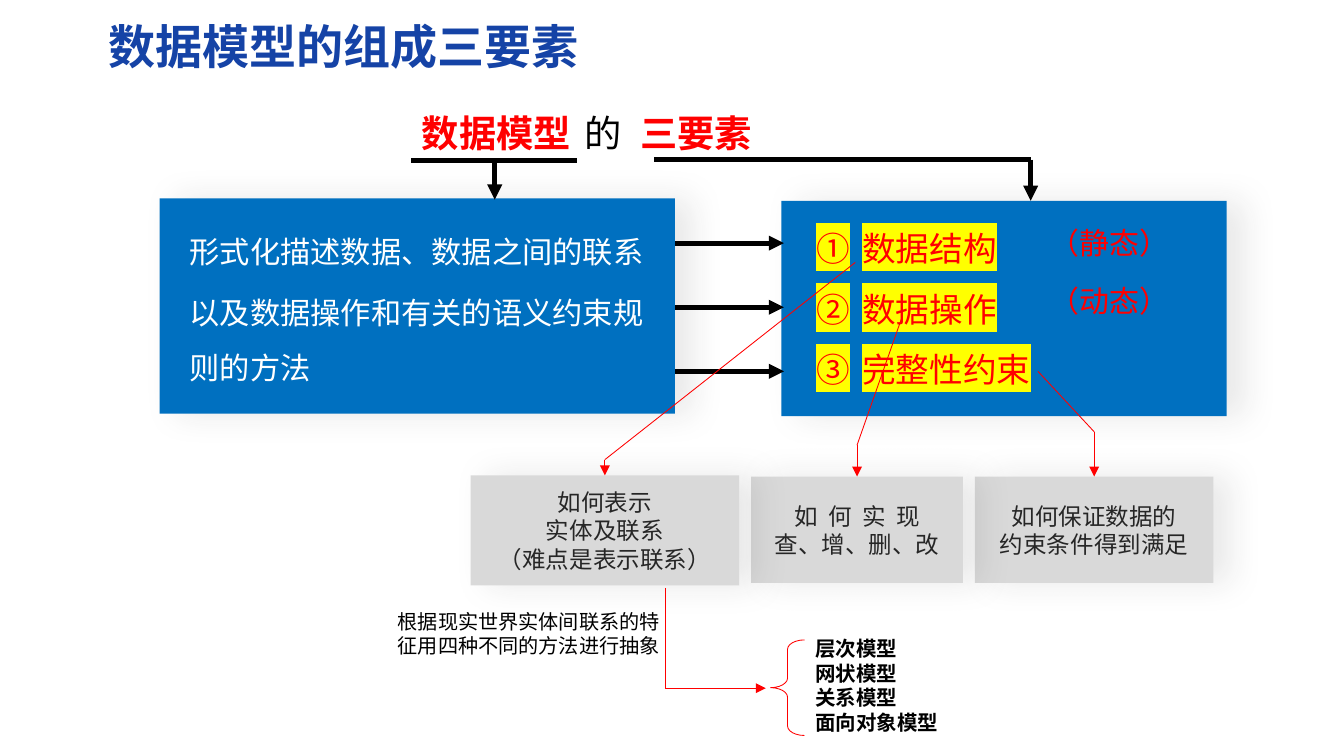
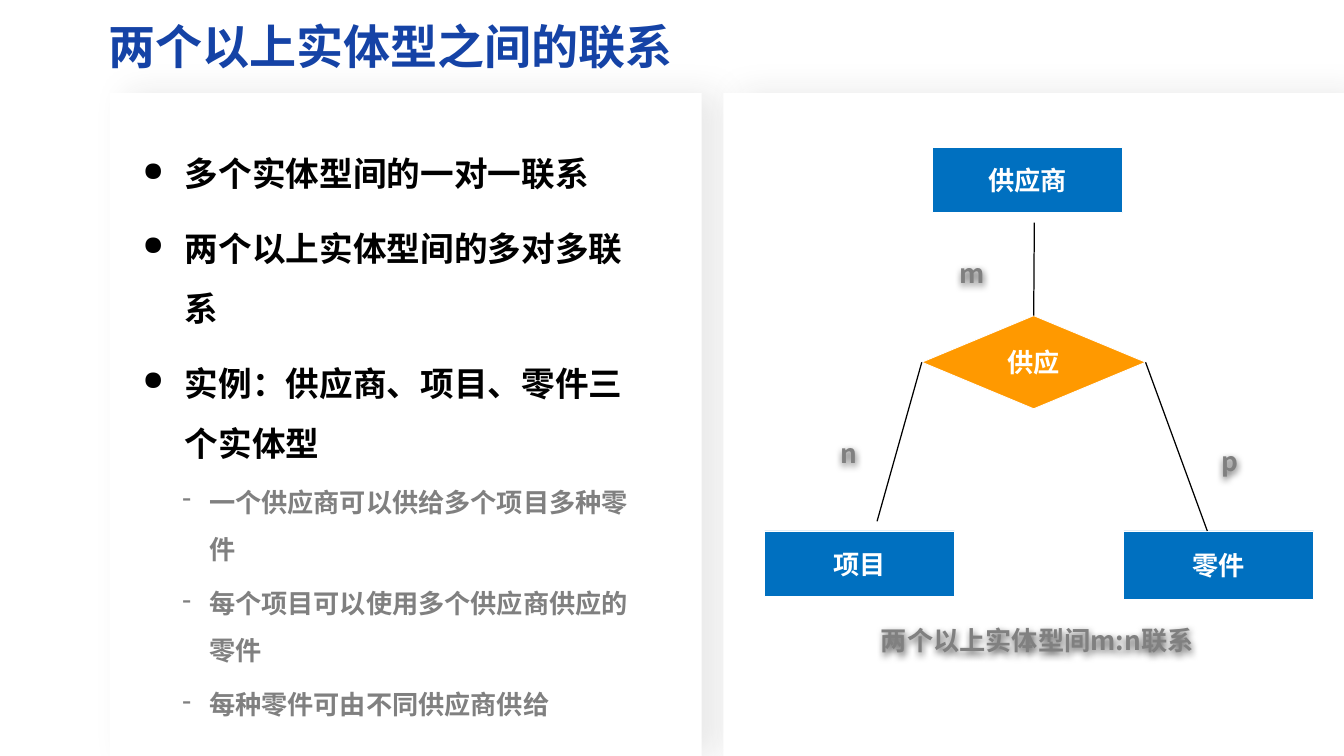
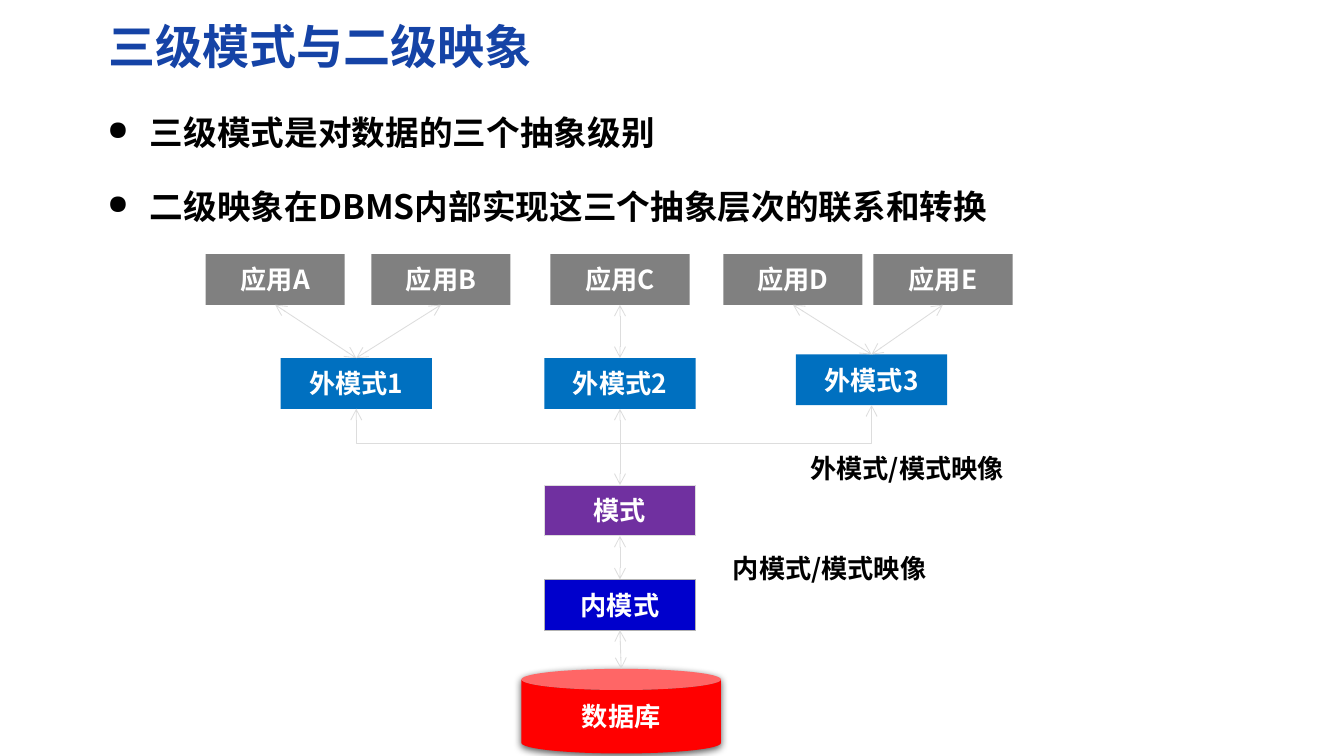
from lxml.etree import SubElement
from pptx import Presentation
from pptx.dml.color import RGBColor
from pptx.enum.shapes import MSO_CONNECTOR, MSO_SHAPE
from pptx.enum.text import MSO_ANCHOR, PP_ALIGN
from pptx.oxml.ns import qn
from pptx.util import Inches, Pt

FONT = "Noto Sans CJK SC"
COLORS = {
    "title": "1543A6", "blue": "0070C0", "red": "FF0000", "black": "000000",
    "white": "FFFFFF", "yellow": "FFFF00", "light": "D9D9D9", "dark": "262626",
    "gray": "808080", "orange": "FF9900", "purple": "7030A0", "navy": "0000CC",
    "pale": "DDDDDD", "silver": "B2B2B2",
}
SOFT_SHADOW = ("dark", 10, 20, 10, 0)  # colour, opacity %, blur pt, distance pt, angle
TIGHT_SHADOW = ("black", 63, 4.5, 1.5, 90)
LABEL = dict(size=15.6, bold=True, align=PP_ALIGN.CENTER, anchor=MSO_ANCHOR.MIDDLE)
NODE = dict(LABEL, color="white")
BODY = dict(size=20, bold=True, line_spacing=1.5, before=8.3,
            bullet="●", indent=(0.35, -0.35), bullet_size=80)
SUB = dict(size=15.6, color="gray", before=4.2, level=1,
           bullet="-", indent=(0.55, -0.22), bullet_size=None)

# Slide 1
ELEMENTS_TITLE = "数据模型的组成三要素"
ELEMENTS_HEADING = [[("数据模型", {}), (" 的 ", dict(color="black", bold=False, tracking=3)),
                     ("三要素", {})]]
DEFINITION = ["形式化描述数据、数据之间的联系", "以及数据操作和有关的语义约束规则的方法"]
ELEMENTS = ["数据结构", "数据操作", "完整性约束"]
NATURES = [("（静态）", 1.81), ("（动态）", 2.29)]
# box, lines, start of the pointer, height of its bend
QUESTIONS = [
    ((8.06, 3.94, 1.97, 0.88), ["如何保证数据的", "约束条件得到满足"], (8.58, 3.07), 3.57),
    ((6.21, 3.94, 1.75, 0.88), [("如 何 实 现", dict(tracking=1.5)), "查、增、删、改"],
     (7.45, 2.64), 3.68),
    ((3.89, 3.93, 2.22, 0.91), ["如何表示", "实体及联系", "（难点是表示联系）"],
     (7.07, 2.17), 3.8),
]
ABSTRACTION = "根据现实世界实体间联系的特征用四种不同的方法进行抽象"
MODELS = ["层次模型", "网状模型", "关系模型", "面向对象模型"]

# Slide 2
RELATION_TITLE = "两个以上实体型之间的联系"
RELATION_POINTS = [
    "多个实体型间的一对一联系",
    "两个以上实体型间的多对多联系",
    "实例：供应商、项目、零件三个实体型",
    ("一个供应商可以供给多个项目多种零件", SUB),
    ("每个项目可以使用多个供应商供应的零件", SUB),
    ("每种零件可由不同供应商供给", SUB),
]
ENTITIES = [("供应商", (7.71, 1.22, 1.57, 0.54)), ("项目", (6.32, 4.39, 1.57, 0.54)),
            ("零件", (9.29, 4.39, 1.57, 0.57))]
RELATION = ("供应", (7.62, 2.61, 1.85, 0.77))
# side of the diamond, far end
BRANCHES = [(0, (8.55, 1.84)), (1, (7.25, 4.31)), (3, (9.98, 4.39))]
CAPTIONS = [("m", (7.81, 2.07, 0.46, 0.37)), ("n", (6.79, 3.56, 0.46, 0.37)),
            ("p", (9.94, 3.63, 0.46, 0.37)),
            ("两个以上实体型间m:n联系", (6.04, 5.11, 5.07, 0.37))]

# Slide 3
SCHEMA_TITLE = "三级模式与二级映象"
SCHEMA_POINTS = ["三级模式是对数据的三个抽象级别",
                 "二级映象在DBMS内部实现这三个抽象层次的联系和转换"]
# label, left, number of the external schema
APPLICATIONS = [("应用A", 1.7, 0), ("应用B", 3.07, 0), ("应用C", 4.55, 1),
                ("应用D", 5.98, 2), ("应用E", 7.22, 2)]
EXTERNALS = [("外模式1", 2.32, 2.96), ("外模式2", 4.5, 2.96), ("外模式3", 6.58, 2.93)]
# label, box, fill, line, shape, shadow
CORE = [
    ("模式", (4.5, 4.01, 1.25, 0.42), "purple", "pale", MSO_SHAPE.RECTANGLE, None),
    ("内模式", (4.5, 4.79, 1.25, 0.42), "navy", "silver", MSO_SHAPE.RECTANGLE, None),
    ("数据库", (4.31, 5.53, 1.65, 0.7), "red", None, MSO_SHAPE.CAN, TIGHT_SHADOW),
]
MAPPINGS = [("外模式/模式映像", 6.6, 3.69), ("内模式/模式映像", 5.96, 4.52)]


def rgb(name):
    return RGBColor.from_string(COLORS[name])


def inches(values):
    return [Inches(value) for value in values]


def add_color(parent, name):
    color = SubElement(parent, qn("a:srgbClr"))
    color.set("val", COLORS[name])
    return color


def add_run(paragraph, text, size=18, color="black", bold=False, highlight=None, tracking=0):
    run = paragraph.add_run()
    run.text = text
    font = run.font
    font.size, font.bold = Pt(size), bold
    font.color.rgb = rgb(color)
    properties = font._element
    if tracking:
        properties.set("spc", str(int(tracking * 100)))
    if highlight:
        add_color(SubElement(properties, qn("a:highlight")), highlight)
    font.name = FONT
    SubElement(properties, qn("a:ea")).set("typeface", FONT)


def format_paragraph(paragraph, first, align=None, line_spacing=None, before=0, level=0,
                     indent=None, bullet=None, bullet_size=None, numbering=None):
    paragraph.alignment = align
    paragraph.level = level
    paragraph.line_spacing = line_spacing
    paragraph.space_before = Pt(0 if first else before)
    properties = paragraph._p.get_or_add_pPr()
    if indent:
        properties.set("marL", str(Inches(indent[0])))
        properties.set("indent", str(Inches(indent[1])))
    if bullet_size:
        SubElement(properties, qn("a:buSzPct")).set("val", str(bullet_size * 1000))
    if bullet:
        SubElement(properties, qn("a:buChar")).set("char", bullet)
    if numbering:
        SubElement(properties, qn("a:buAutoNum")).set("type", numbering)


def write(shape, paragraphs, anchor=MSO_ANCHOR.TOP, wrap=True, margins=(0.1, 0.05), **style):
    """A paragraph is a string, a (string, format) pair or a list of such pairs as runs."""
    frame = shape.text_frame
    frame.word_wrap, frame.vertical_anchor = wrap, anchor
    frame.margin_left = frame.margin_right = Inches(margins[0])
    frame.margin_top = frame.margin_bottom = Inches(margins[1])
    run_keys = ("size", "color", "bold", "highlight", "tracking")
    for number, content in enumerate(paragraphs):
        paragraph = frame.add_paragraph() if number else frame.paragraphs[0]
        extra = {}
        if isinstance(content, tuple):
            content, extra = content
        runs = content if isinstance(content, list) else [(content, {})]
        merged = {**style, **extra}
        format_paragraph(paragraph, number == 0,
                         **{k: v for k, v in merged.items() if k not in run_keys})
        run_style = {k: v for k, v in merged.items() if k in run_keys}
        for text, change in runs:
            add_run(paragraph, text, **{**run_style, **change})


def add_shadow(shape, color, opacity, blur, distance, angle):
    shape.shadow.inherit = False
    effects = shape._element.spPr.find(qn("a:effectLst"))
    outer = SubElement(effects, qn("a:outerShdw"))
    for key, value in (("blurRad", Pt(blur)), ("dist", Pt(distance)), ("dir", angle * 60000)):
        outer.set(key, str(value))
    outer.set("algn", "ctr")
    outer.set("rotWithShape", "0")
    SubElement(add_color(outer, color), qn("a:alpha")).set("val", str(opacity * 1000))


def add_text(slide, box, paragraphs, shadow=None, **style):
    shape = slide.shapes.add_textbox(*inches(box))
    write(shape, paragraphs, **style)
    if shadow:
        add_shadow(shape, *shadow)
    return shape


def add_box(slide, box, fill=None, line=None, kind=MSO_SHAPE.RECTANGLE, shadow=None,
            paragraphs=(), **style):
    shape = slide.shapes.add_shape(kind, *inches(box))
    shape.shadow.inherit = False
    if fill:
        shape.fill.solid()
        shape.fill.fore_color.rgb = rgb(fill)
    else:
        shape.fill.background()
    if line:
        shape.line.color.rgb = rgb(line)
        shape.line.width = Pt(0.5)
    else:
        shape.line.fill.background()
    if shadow:
        add_shadow(shape, *shadow)
    if paragraphs:
        write(shape, paragraphs, **style)
    return shape


def add_line(slide, start, end, color="black", width=0.5, head=None, tail=None,
             kind=MSO_CONNECTOR.STRAIGHT):
    """Each end is an (x, y) point in inches or a (shape, side) pair to join."""
    joined = [not isinstance(point[0], (int, float)) for point in (start, end)]
    points = [(0, 0) if glued else point for glued, point in zip(joined, (start, end))]
    line = slide.shapes.add_connector(kind, *inches(points[0] + points[1]))
    if joined[0]:
        line.begin_connect(*start)
    if joined[1]:
        line.end_connect(*end)
    line.line.color.rgb = rgb(color)
    line.line.width = Pt(width)
    for tag, arrow in (("a:headEnd", head), ("a:tailEnd", tail)):
        if arrow:
            SubElement(line.line._get_or_add_ln(), qn(tag)).set("type", arrow)
    SubElement(line._element.spPr, qn("a:effectLst"))
    return line


def add_bracket(slide, first, last, bend, **style):
    """Join the undersides of two boxes by an elbow that dips to the height bend."""
    line = add_line(slide, (first, 2), (last, 2), kind=MSO_CONNECTOR.ELBOW, **style)
    x1, y1 = first.left + first.width // 2, first.top + first.height
    x2, y2 = last.left + last.width // 2, last.top + last.height
    rise, span = y1 - y2, x2 - x1
    line.left, line.top = (x1 + x2 - rise) // 2, (y1 + y2 - span) // 2
    line.width, line.height = rise, span
    properties = line._element.spPr
    for key, value in (("rot", "5400000"), ("flipH", "1"), ("flipV", "1")):
        properties.find(qn("a:xfrm")).set(key, value)
    geometry = properties.find(qn("a:prstGeom"))
    values = geometry.find(qn("a:avLst"))
    if values is None:
        values = SubElement(geometry, qn("a:avLst"))
    guide = SubElement(values, qn("a:gd"))
    guide.set("name", "adj1")
    guide.set("fmla", f"val {round((y1 - Inches(bend)) / rise * 100000)}")


def new_slide(deck, title):
    slide = deck.slides.add_slide(deck.slide_layouts[6])
    add_text(slide, (0.79, 0.12, 9.99, 0.57), [title], size=28, color="title", bold=True,
             line_spacing=0.9, anchor=MSO_ANCHOR.MIDDLE, margins=(0.11, 0.06))
    return slide


def build_elements(deck):
    slide = new_slide(deck, ELEMENTS_TITLE)
    for box in ((1.32, 1.64, 4.26, 1.78), (6.46, 1.66, 3.68, 1.78)):
        add_box(slide, box, "blue", shadow=SOFT_SHADOW)
    add_text(slide, (3.39, 0.86, 3.07, 0.47), ELEMENTS_HEADING, size=22.2, color="red", bold=True)
    add_text(slide, (1.38, 1.59, 4.26, 1.78), DEFINITION, color="white", line_spacing=1.5,
             before=4.3, indent=(0.09, 0), anchor=MSO_ANCHOR.MIDDLE)
    add_text(slide, (6.65, 1.67, 2.08, 1.56), ELEMENTS, size=20, color="red", highlight="yellow",
             line_spacing=1.5, indent=(0.38, -0.38), numbering="circleNumDbPlain")
    for nature, top in NATURES:
        add_text(slide, (8.58, top, 1.2, 0.4), [nature], size=17.8, color="red", wrap=False)

    for start, end in (((5.41, 1.32), (8.52, 1.32)), ((3.4, 1.33), (4.77, 1.33))):
        add_line(slide, start, end, width=3)
    arrows = [((8.52, 1.32), (8.52, 1.66)), ((4.09, 1.33), (4.09, 1.65))]
    arrows += [((5.58, y), (6.48, y)) for y in (2.01, 2.54, 3.07)]
    for start, end in arrows:
        add_line(slide, start, end, width=3, tail="triangle")

    for box, lines, start, bend in QUESTIONS:
        question = add_box(slide, box, "light", shadow=SOFT_SHADOW, paragraphs=lines, size=14,
                           color="dark", align=PP_ALIGN.CENTER, anchor=MSO_ANCHOR.MIDDLE)
        elbow = (box[0] + box[2] / 2, bend)
        add_line(slide, start, elbow, "red")
        add_line(slide, elbow, (question, 0), "red", tail="triangle")

    add_text(slide, (3.19, 4.99, 2.48, 0.5), [ABSTRACTION], size=12)
    add_line(slide, (5.5, 4.86), (5.5, 5.69), "red")
    add_line(slide, (5.5, 5.69), (6.33, 5.69), "red", tail="triangle")
    brace = add_box(slide, (6.37, 5.29, 0.28, 0.79), line="red", kind=MSO_SHAPE.LEFT_BRACE)
    brace.adjustments[0] = 0.28
    add_text(slide, (6.64, 5.21, 1.23, 0.92), MODELS, size=12.2, bold=True, wrap=False)


def build_relation(deck):
    slide = new_slide(deck, RELATION_TITLE)
    for left, width in ((0.91, 4.89), (5.98, 5.13)):
        panel = add_box(slide, (left, 0.77, width, 5.48), "white", shadow=SOFT_SHADOW)
    add_text(slide, (1.08, 1.05, 4.34, 5.1), RELATION_POINTS, **BODY)
    for entity, box in ENTITIES:
        add_box(slide, box, "blue", "white", paragraphs=[entity], **NODE)
    name, box = RELATION
    relation = add_box(slide, box, "orange", "white", MSO_SHAPE.DIAMOND,
                       paragraphs=[name], **NODE)
    for side, end in BRANCHES:
        add_line(slide, (relation, side), end, width=0.75)
    for caption, box in CAPTIONS:
        add_text(slide, box, [caption], shadow=TIGHT_SHADOW, color="gray", **LABEL)


def build_schemas(deck):
    slide = new_slide(deck, SCHEMA_TITLE)
    add_text(slide, (0.79, 0.71, 8.75, 1.3), SCHEMA_POINTS, **BODY)
    two_way = dict(color="pale", head="arrow", tail="arrow")
    externals = [add_box(slide, (left, top, 1.25, 0.42), "blue", paragraphs=[label], **NODE)
                 for label, left, top in EXTERNALS]
    for label, left, number in APPLICATIONS:
        application = add_box(slide, (left, 2.1, 1.15, 0.42), "gray", paragraphs=[label], **NODE)
        add_line(slide, (application, 2), (externals[number], 0), **two_way)
    upper = externals[1]
    for label, box, fill, line, kind, shadow in CORE:
        lower = add_box(slide, box, fill, line, kind, shadow, [label], **NODE)
        add_line(slide, (upper, 2), (lower, 0), **two_way)
        upper = lower
    add_bracket(slide, externals[0], externals[2], 3.67, **two_way)
    for label, left, top in MAPPINGS:
        add_text(slide, (left, top, 1.83, 0.6), [label], size=15.6, bold=True)


def main():
    deck = Presentation()
    deck.slide_width, deck.slide_height = inches((11.11, 6.25))
    for build in (build_elements, build_relation, build_schemas):
        build(deck)
    deck.save("out.pptx")


if __name__ == "__main__":
    main()
